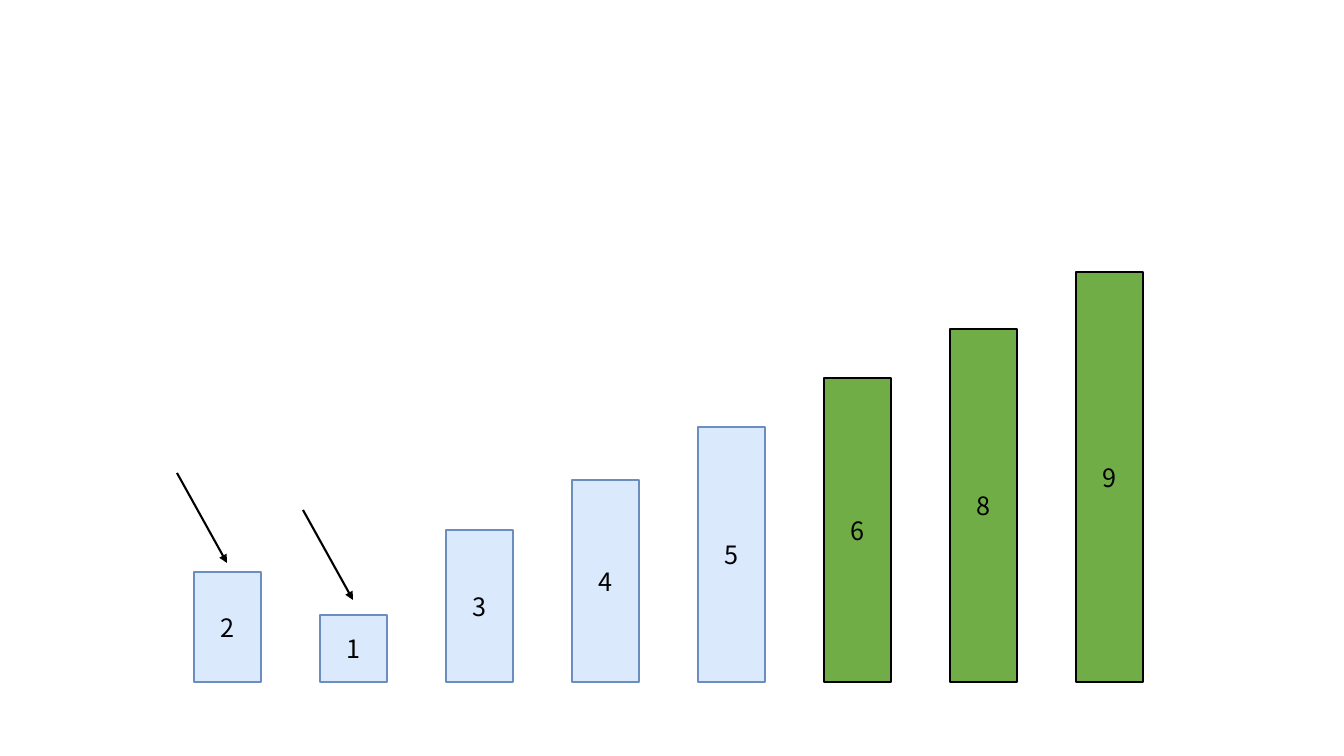
import pptx
import pptx.util
import pptx.dml.color
import pptx.enum.shapes
import pptx.enum.text
import pptx.oxml
import pptx.oxml.ns
from lxml import etree

EMU_PER_PIXEL = 914400 / 100.8
FONT = "Noto Sans CJK SC"
COLORS = {
    "unsorted_fill": "DBE9FD",
    "unsorted_line": "6C8EBF",
    "sorted_fill": "70AD47",
    "sorted_line": "000000",
    "ink": "000000",
}

# Bars share a baseline and an even spacing
FIRST_LEFT, BAR_STEP, BAR_WIDTH, BASELINE = 194, 126, 67, 682
BARS = [  # value, height, state
    (2, 110, "unsorted"),
    (1, 67, "unsorted"),
    (3, 152, "unsorted"),
    (4, 202, "unsorted"),
    (5, 255, "unsorted"),
    (6, 304, "sorted"),
    (8, 353, "sorted"),
    (9, 410, "sorted"),
]

# Arrows point at the middle of the compared bars
ARROW_RUN, ARROW_RISE = 50, 90
ARROW_TIPS = [(0, 563), (1, 600)]  # bar index, tip height on the page


def px(pixels):
    return pptx.util.Emu(round(pixels * EMU_PER_PIXEL))


def color(name):
    return pptx.dml.color.RGBColor.from_string(COLORS[name])


def bar_left(index):
    return FIRST_LEFT + index * BAR_STEP


def set_line(line, name):
    line.color.rgb = color(name)
    line.width = pptx.util.Pt(1.5)


def add_bar(page, index, value, height, state):
    bar = page.shapes.add_shape(
        pptx.enum.shapes.MSO_SHAPE.RECTANGLE,
        px(bar_left(index)), px(BASELINE - height), px(BAR_WIDTH), px(height))
    bar.shadow.inherit = False
    bar.fill.solid()
    bar.fill.fore_color.rgb = color(state + "_fill")
    set_line(bar.line, state + "_line")
    bar.text_frame.vertical_anchor = pptx.enum.text.MSO_ANCHOR.MIDDLE
    para = bar.text_frame.paragraphs[0]
    para.text = str(value)
    para.alignment = pptx.enum.text.PP_ALIGN.CENTER
    para.font.name = FONT
    para.font.size = pptx.util.Pt(18)
    para.font.color.rgb = color("ink")


def add_arrow(page, index, tip_y):
    tip_x = bar_left(index) + BAR_WIDTH // 2
    arrow = page.shapes.add_connector(
        pptx.enum.shapes.MSO_CONNECTOR.STRAIGHT,
        px(tip_x - ARROW_RUN), px(tip_y - ARROW_RISE), px(tip_x), px(tip_y))
    set_line(arrow.line, "ink")
    properties = arrow.element.spPr
    outline = properties.find(pptx.oxml.ns.qn("a:ln"))
    etree.SubElement(outline, pptx.oxml.ns.qn("a:tailEnd"), type="triangle")
    etree.SubElement(properties, pptx.oxml.ns.qn("a:effectLst"))


def main():
    deck = pptx.Presentation()
    deck.slide_width, deck.slide_height = px(1344), px(756)
    page = deck.slides.add_slide(deck.slide_layouts[6])

    # Bars
    for index, (value, height, state) in enumerate(BARS):
        add_bar(page, index, value, height, state)

    # Comparison arrows
    for index, tip_y in ARROW_TIPS:
        add_arrow(page, index, tip_y)

    deck.save("out.pptx")


main()
